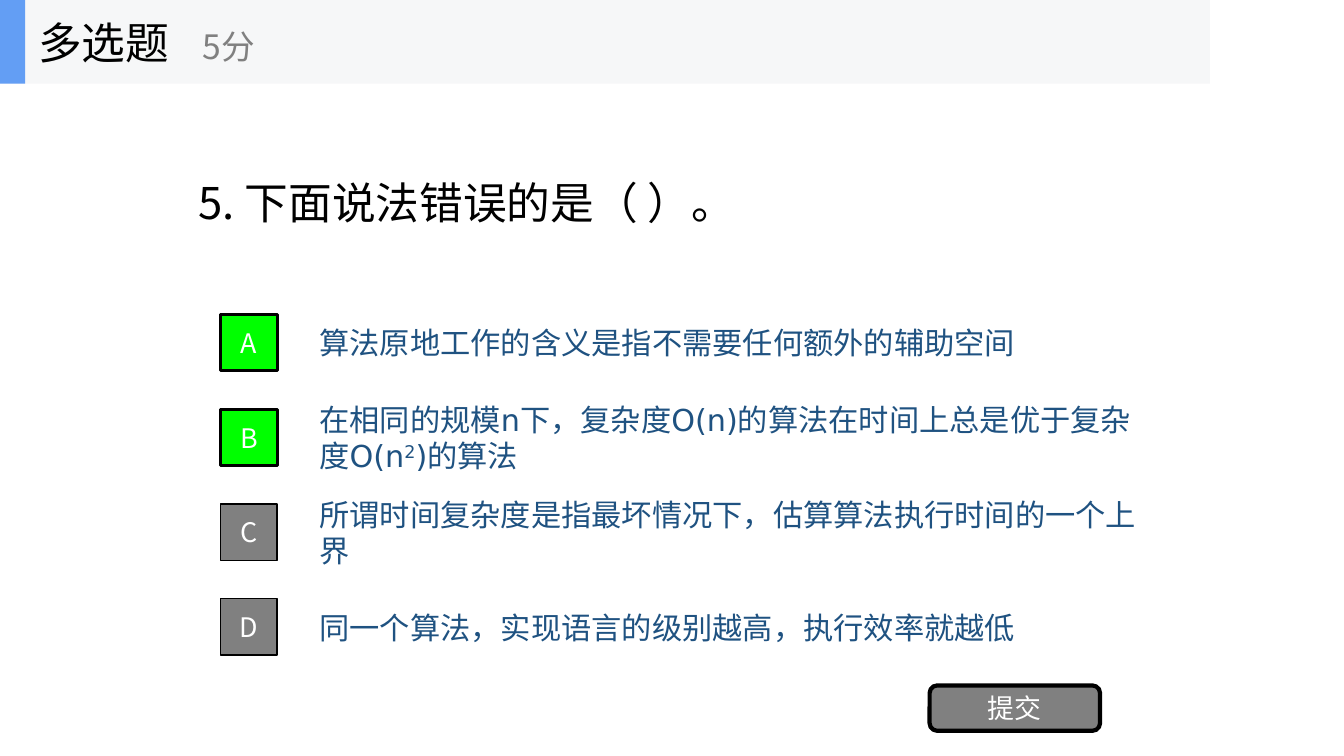
import pptx
import pptx.util
import pptx.dml.color
import pptx.enum.shapes
import pptx.enum.text
import pptx.oxml
import pptx.oxml.ns

Inches = pptx.util.Inches
Shapes = pptx.enum.shapes.MSO_SHAPE
Align = pptx.enum.text.PP_ALIGN

CJK_FONT = "Noto Sans CJK SC"
OPTION_FONT = "DejaVu Sans"
BLACK, WHITE, GREY = "000000", "FFFFFF", "808080"
CORRECT = "00FF00"
OPTION_BLUE = "1F5281"
OPTION_PITCH = 0.94

# Each option: letter, whether it is a right answer, (text, superscript) runs
OPTIONS = [
    ("A", True, [("算法原地工作的含义是指不需要任何额外的辅助空间", False)]),
    ("B", True, [("在相同的规模n下，复杂度O(n)的算法在时间上总是优于复杂度O(n", False),
                 ("2", True), (")的算法", False)]),
    ("C", False, [("所谓时间复杂度是指最坏情况下，估算算法执行时间的一个上界", False)]),
    ("D", False, [("同一个算法，实现语言的级别越高，执行效率就越低", False)]),
]


def color(value):
    return pptx.dml.color.RGBColor.from_string(value)


def write(shape, runs, size, ink, font=CJK_FONT, align=Align.LEFT, wrap=True):
    """Fill a shape with one vertically centred paragraph of runs."""
    frame = shape.text_frame
    frame.auto_size = pptx.enum.text.MSO_AUTO_SIZE.NONE
    frame.word_wrap = wrap
    frame.vertical_anchor = pptx.enum.text.MSO_ANCHOR.MIDDLE
    para = frame.paragraphs[0]
    para.alignment = align
    for text, superscript in runs:
        span = para.add_run()
        span.text = text
        span.font.size = pptx.util.Pt(size)
        span.font.name = font
        span.font.color.rgb = color(ink)
        properties = span.font._element
        east_asian = pptx.oxml.parse_xml(
            f'<a:ea {pptx.oxml.ns.nsdecls("a")} typeface="{font}"/>')
        properties.find(pptx.oxml.ns.qn("a:latin")).addnext(east_asian)
        if superscript:
            properties.set("baseline", "30000")


def add_text(shapes, place, runs, size, ink, font=CJK_FONT, wrap=True):
    box = shapes.add_textbox(*map(Inches, place))
    write(box, runs, size, ink, font, wrap=wrap)


def add_block(shapes, kind, place, fill, line_width=0, label=None):
    block = shapes.add_shape(kind, *map(Inches, place))
    block.shadow.inherit = False
    block.fill.solid()
    block.fill.fore_color.rgb = color(fill)
    if line_width:
        block.line.color.rgb = color(BLACK)
        block.line.width = pptx.util.Pt(line_width)
    else:
        block.line.fill.background()
    if label:
        write(block, [(label, False)], 19.2, WHITE, align=Align.CENTER)


def add_header(page):
    header = page.shapes.add_group_shape().shapes
    add_block(header, Shapes.RECTANGLE, (0, 0, 12, 0.83), "F6F7F8")
    add_block(header, Shapes.RECTANGLE, (0, 0, 0.25, 0.83), "639EF4")
    add_text(header, (0.28, 0, 2.5, 0.83), [("多选题", False)], 31.2, BLACK, wrap=False)
    add_text(header, (1.91, 0.12, 3, 0.67), [("5分", False)], 24, GREY, wrap=False)


def add_question(page, text):
    title = page.shapes.title
    title.left, title.top, title.width, title.height = map(Inches, (1.87, 0.83, 9.6, 2.34))
    write(title, [(text, False)], 31.2, BLACK)


def add_option(page, row, letter, is_correct, runs):
    top = 3.05 + row * OPTION_PITCH
    add_text(page.shapes, (3.07, top, 8.4, 0.7), runs, 21.6, OPTION_BLUE, OPTION_FONT)
    fill, line_width = (CORRECT, 2) if is_correct else (GREY, 1)
    add_block(page.shapes, Shapes.RECTANGLE, (2.19, top + 0.07, 0.56, 0.56),
              fill, line_width, letter)


def main():
    deck = pptx.Presentation()
    deck.slide_width, deck.slide_height = Inches(13.33), Inches(7.5)
    page = deck.slides.add_slide(deck.slide_layouts.get_by_name("Title Only"))

    # Question and its options
    add_question(page, "5. 下面说法错误的是（ ）。")
    for row, option in enumerate(OPTIONS):
        add_option(page, row, *option)

    # Submit button and header bar
    add_block(page.shapes, Shapes.ROUNDED_RECTANGLE, (9.22, 6.8, 1.69, 0.45), GREY, 3, "提交")
    add_header(page)
    deck.save("out.pptx")


if __name__ == "__main__":
    main()
